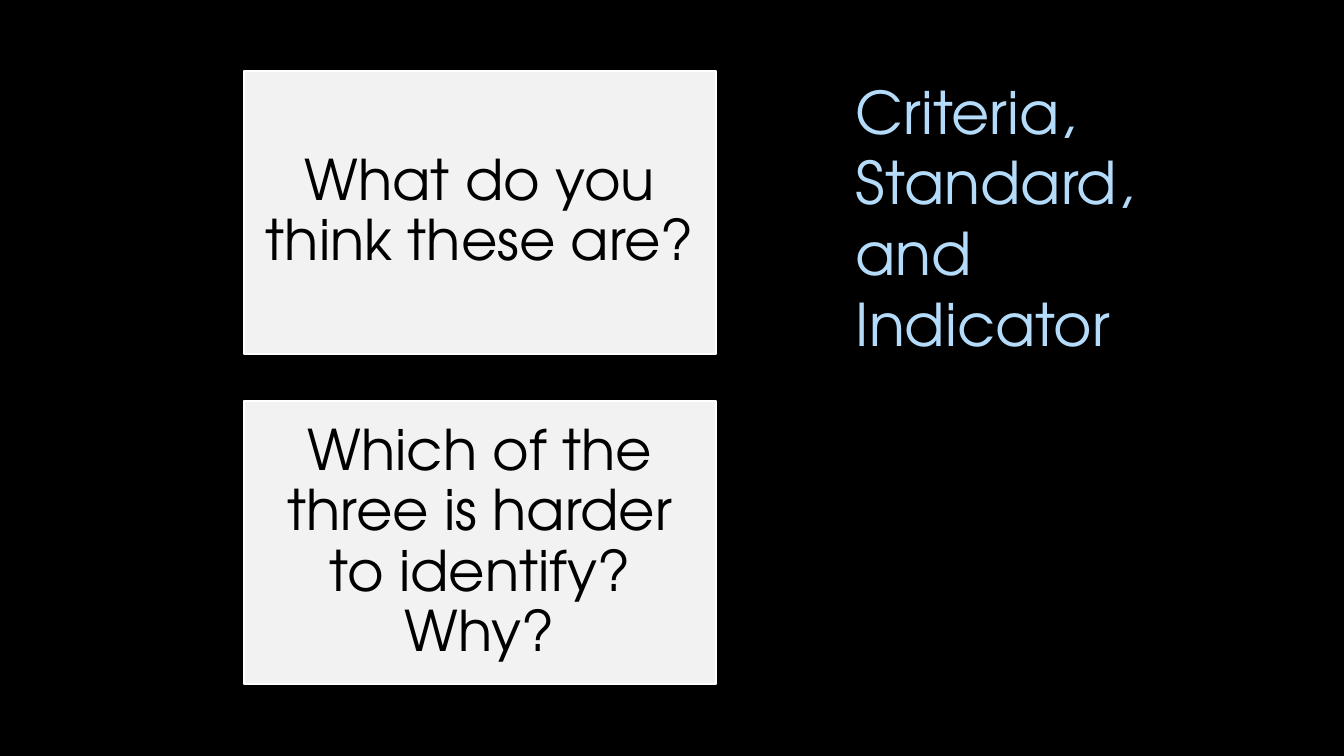
from pptx import Presentation
from pptx.dml.color import RGBColor
from pptx.enum.shapes import MSO_SHAPE as Shape
from pptx.enum.text import MSO_ANCHOR as Anchor, PP_ALIGN as Align
from pptx.util import Inches, Pt

# Content
TITLE = "Criteria, Standard, and Indicator"
QUESTIONS = [
    "What do you think these are?",
    "Which of the three is harder to identify? Why?",
]

# Style and layout, lengths in inches
FONT = "TeX Gyre Adventor"
COLORS = {
    "background": "000000",
    "title": "B4DCFA",
    "card": "F2F2F2",
    "border": "FFFFFF",
    "text": "000000",
}
TOP = 0.7
TITLE_LEFT, TITLE_WIDTH, TITLE_HEIGHT = 8.39, 3.01, 6.02
CARD_LEFT, CARD_WIDTH, CARD_HEIGHT = 2.42, 4.68, 2.81
CARD_STEP = 3.28
CARD_INSET = 0.17


def color(name):
    return RGBColor.from_string(COLORS[name])


def write(frame, text, size, color_name):
    frame.word_wrap = True
    para = frame.paragraphs[0]
    para.text = text
    font = para.runs[0].font
    font.name, font.size = FONT, Pt(size)
    font.color.rgb = color(color_name)
    return para


def add_title(slide):
    box = slide.shapes.add_textbox(
        Inches(TITLE_LEFT), Inches(TOP), Inches(TITLE_WIDTH), Inches(TITLE_HEIGHT))
    box.text_frame.vertical_anchor = Anchor.TOP
    write(box.text_frame, TITLE, 42, "title")


def add_card(slide, top, question):
    card = slide.shapes.add_shape(
        Shape.RECTANGLE, Inches(CARD_LEFT), Inches(top),
        Inches(CARD_WIDTH), Inches(CARD_HEIGHT))
    card.shadow.inherit = False
    card.fill.solid()
    card.fill.fore_color.rgb = color("card")
    card.line.color.rgb = color("border")
    card.line.width = Pt(1.5)

    frame = card.text_frame
    frame.vertical_anchor = Anchor.MIDDLE
    frame.margin_left = frame.margin_right = Inches(CARD_INSET)
    frame.margin_top = frame.margin_bottom = Inches(CARD_INSET)
    para = write(frame, question, 40, "text")
    para.alignment = Align.CENTER
    para.line_spacing = 0.9


def main():
    deck = Presentation()
    deck.slide_width, deck.slide_height = Inches(13.33), Inches(7.5)
    slide = deck.slides.add_slide(deck.slide_layouts[6])
    slide.background.fill.solid()
    slide.background.fill.fore_color.rgb = color("background")

    # Title on the right, question cards stacked on the left
    add_title(slide)
    for row, question in enumerate(QUESTIONS):
        add_card(slide, TOP + row * CARD_STEP, question)

    deck.save("out.pptx")


if __name__ == "__main__":
    main()
